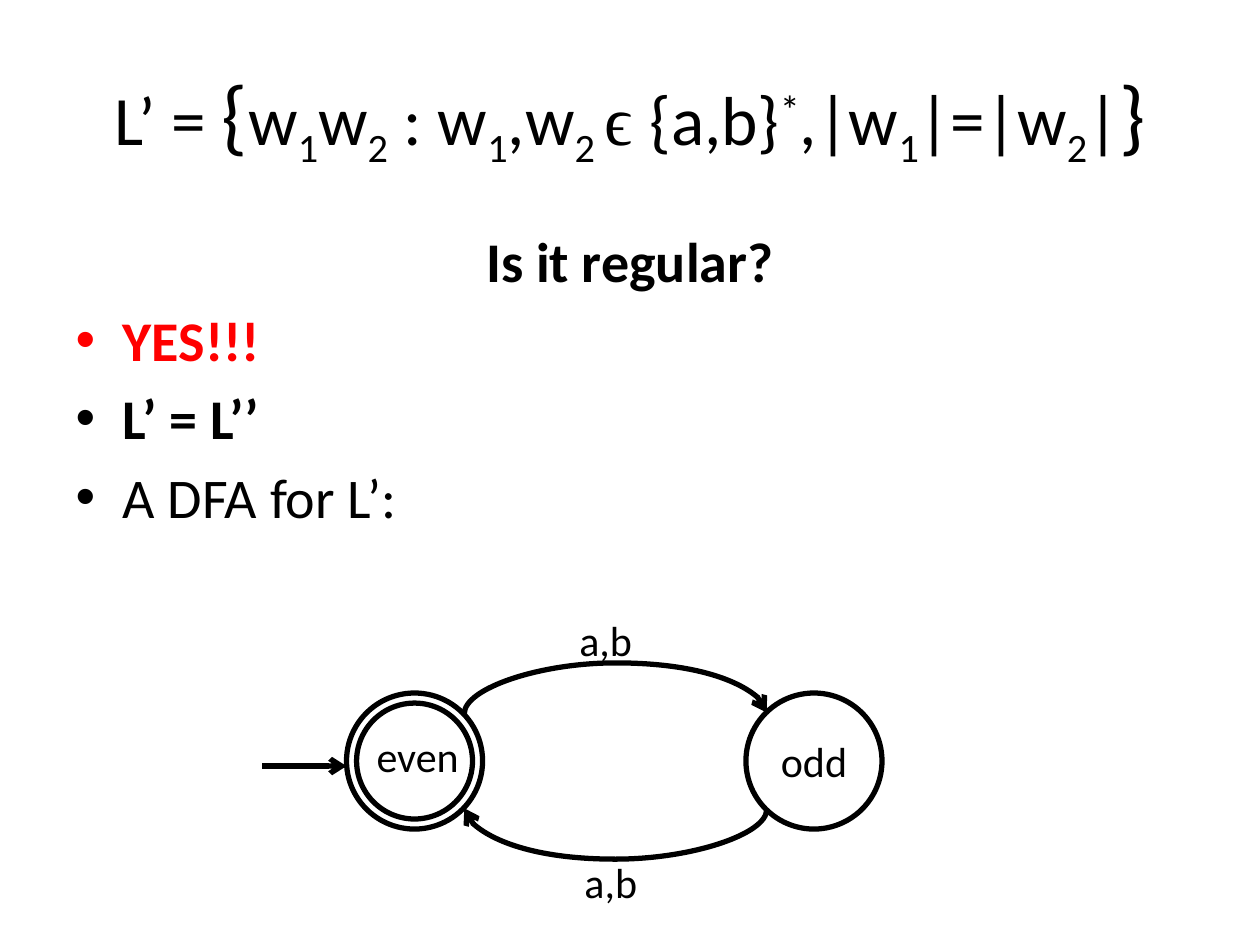
from pptx import Presentation
from pptx.dml.color import RGBColor
from pptx.enum import shapes, text
from pptx.oxml import parse_xml
from pptx.oxml.ns import nsdecls, qn
from pptx.util import Inches, Pt

BLACK = RGBColor(0, 0, 0)
RED = RGBColor(255, 0, 0)
CURVE = shapes.MSO_CONNECTOR.CURVE
STRAIGHT = shapes.MSO_CONNECTOR.STRAIGHT


def add_label(x, y, w, words):
    box = slide.shapes.add_textbox(Inches(x), Inches(y), Inches(w), Inches(0.5))
    label = box.text_frame.paragraphs[0]
    label.text = words
    label.font.size, label.font.name = Pt(24), "Calibri"
    label.font.color.rgb = BLACK


def add_arrow(kind, start, end, arrow_end):
    """Draw a black line; arrow_end is "headEnd" (start) or "tailEnd" (end)."""
    arrow = slide.shapes.add_connector(kind, *map(Inches, start + end))
    arrow.line.color.rgb = BLACK
    arrow.line.width = Pt(3)
    arrow.line._get_or_add_ln().append(
        parse_xml(f'<a:{arrow_end} {nsdecls("a")} type="arrow"/>'))
    arrow._element.spPr.append(parse_xml(f'<a:effectLst {nsdecls("a")}/>'))
    return arrow


prs = Presentation()
prs.slide_width, prs.slide_height = Inches(10), Inches(7.5)
slide = prs.slides.add_slide(prs.slide_layouts[1])

# Title: words, baseline shift in percent
title = slide.shapes.title
title.left, title.top, title.width, title.height = map(Inches, (0.5, 0.3, 9, 1.25))
title.text_frame.auto_size = text.MSO_AUTO_SIZE.NONE
formula = title.text_frame.paragraphs[0]
formula.alignment = text.PP_ALIGN.CENTER
for words, shift in [("L’ = ", 0), ("{", 0), ("w", 0), ("1", -25), ("w", 0),
                     ("2", -25), (" : w", 0), ("1", -25), (",w", 0), ("2 ", -25),
                     ("ϵ ", 0), ("{a,b}", 0), ("*", 30), (",|w", 0), ("1", -25),
                     ("|=|w", 0), ("2", -25), ("|", 0), ("}", 0)]:
    run = formula.add_run()
    run.text = words
    run.font.size = Pt(47.7 if words in ("{", "}") else 39.6)
    run.font.name = "Times New Roman" if words == "ϵ " else "Calibri"
    run.font.color.rgb = BLACK
    if shift:
        run.font._element.set("baseline", str(shift * 1000))

# Question and answers
body = slide.placeholders[1]
body.left, body.top, body.width, body.height = map(Inches, (0.5, 1.75, 9, 4.95))
frame = body.text_frame
frame.auto_size = text.MSO_AUTO_SIZE.NONE
frame.text = "Is it regular?\nYES!!!\nL’ = L’’\nA DFA for L’:"
question, *answers = frame.paragraphs
question.alignment = text.PP_ALIGN.CENTER
question.space_before = Pt(0)
for line in frame.paragraphs:
    props = line._p.get_or_add_pPr()
    if line._p is question._p:
        props.set("marL", "0")
        props.set("indent", "0")
        props.append(parse_xml(f'<a:buNone {nsdecls("a")}/>'))
    else:
        props.append(parse_xml(f'<a:buChar {nsdecls("a")} char="•"/>'))
    line.font.size, line.font.name = Pt(32), "Calibri"
    line.font.bold = True
    line.font.color.rgb = BLACK
answers[0].font.color.rgb = RED
answers[-1].font.bold = False

# States: the accepting one has a second, inner ring
for x, y, size, name in [(5.92, 5.5, 1.08, "odd"), (2.75, 5.5, 1.08, ""),
                         (2.83, 5.58, 0.92, "")]:
    state = slide.shapes.add_shape(shapes.MSO_SHAPE.OVAL, Inches(x), Inches(y),
                                   Inches(size), Inches(size))
    state.shadow.inherit = False
    state.fill.background()
    state.line.color.rgb = BLACK
    state.line.width = Pt(3)
    if name:
        label = state.text_frame.paragraphs[0]
        label.text = name
        label.alignment = text.PP_ALIGN.CENTER
        label.font.size, label.font.name = Pt(24), "Calibri"
        label.font.color.rgb = BLACK
add_label(2.89, 5.75, 0.86, "even")

# Transitions: upright curves turned a quarter, bulging 0.41 inch outwards
add_arrow(STRAIGHT, (2.08, 6.08), (2.75, 6.08), "tailEnd")
middle, span, thin = 4.88, 2.4, 0.01
for y, turn, arrow_end in [(5.66, 90, "tailEnd"), (6.42, 270, "headEnd")]:
    ends = [y - span / 2, y + span / 2]
    if turn == 90:
        ends.reverse()
    curve = add_arrow(CURVE, (middle + thin, ends[0]), (middle, ends[1]), arrow_end)
    props = curve._element.spPr
    props.find(qn("a:xfrm")).set("rot", str(turn * 60000))
    props.find(qn("a:prstGeom")).find(qn("a:avLst")).append(parse_xml(
        f'<a:gd {nsdecls("a")} name="adj1" fmla="val {round(0.41 / thin * 100000)}"/>'))
add_label(4.5, 4.83, 0.62, "a,b")
add_label(4.54, 6.75, 0.62, "a,b")

prs.save("out.pptx")
